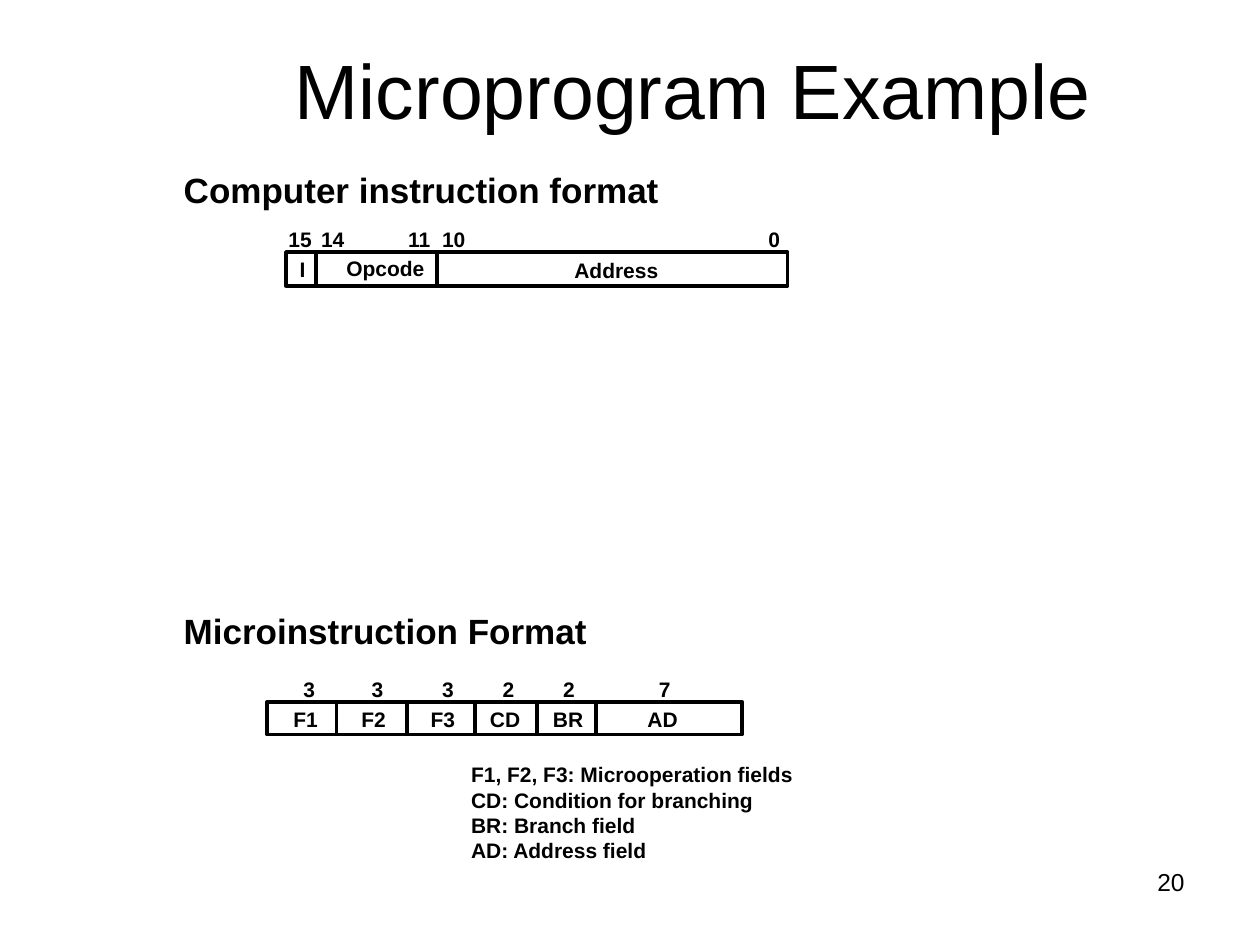
import pptx
import pptx.dml.color
import pptx.enum.shapes
import pptx.enum.text
import pptx.oxml.ns
import pptx.util
from pptx.util import Inches

BLACK = "000000"
ALIGN = pptx.enum.text.PP_ALIGN


def color(hex_code):
    """Turn a hex string into a colour."""
    return pptx.dml.color.RGBColor.from_string(hex_code)


def add_text(page, text, left, top, width, height, size, bold=False, align=ALIGN.LEFT):
    """Add a wrapping Arial text box and return it."""
    box = page.shapes.add_textbox(Inches(left), Inches(top), Inches(width), Inches(height))
    box.text_frame.word_wrap = True
    para = box.text_frame.paragraphs[0]
    para.text = text
    para.alignment = align
    para.font.name = "Arial"
    para.font.size = pptx.util.Pt(size)
    para.font.bold = bold
    para.font.color.rgb = color(BLACK)
    return box


def add_label(page, text, left, top, width, height=0.28, size=12, spacing=0.9):
    """Add a bold one-line label."""
    box = add_text(page, text, left, top, width, height, size, bold=True)
    box.text_frame.paragraphs[0].line_spacing = spacing
    return box


def add_frame(page, left, top, width, height):
    """Add the unfilled outline of an instruction word."""
    frame = page.shapes.add_shape(
        pptx.enum.shapes.MSO_SHAPE.RECTANGLE,
        Inches(left), Inches(top), Inches(width), Inches(height))
    frame.shadow.inherit = False
    frame.fill.background()
    frame.line.color.rgb = color(BLACK)
    frame.line.width = pptx.util.Pt(2)


def add_divider(page, x, top, height):
    """Add a vertical line between two fields."""
    line = page.shapes.add_connector(
        pptx.enum.shapes.MSO_CONNECTOR.STRAIGHT,
        Inches(x), Inches(top), Inches(x), Inches(top + height))
    line.line.color.rgb = color(BLACK)
    line.line.width = pptx.util.Pt(2)
    properties = line._element.spPr
    properties.append(properties.makeelement(pptx.oxml.ns.qn("a:effectLst"), {}))


def add_computer_format(page):
    """Draw the computer instruction word with its bit numbers."""
    add_label(page, "Computer instruction format", 1.36, 1.33, 4.02, 0.4, 20)
    add_frame(page, 2.27, 2, 3.98, 0.27)
    for x, top in ((2.51, 2.02), (3.47, 2)):
        add_divider(page, x, top, 0.26)
    for name, left, top, width in (
            ("I", 2.28, 2.01, 0.26), ("Opcode", 2.65, 2, 0.86), ("Address", 4.46, 2.02, 0.91)):
        add_label(page, name, left, top, width)
    for bit, left in (("15", 2.19), ("14", 2.45), ("11", 3.14), ("10", 3.41), ("0", 6)):
        add_label(page, bit, left, 1.77, 0.42 if len(bit) == 2 else 0.31)


def add_microinstruction_format(page):
    """Draw the microinstruction word with its field widths."""
    add_label(page, "Microinstruction Format", 1.36, 4.78, 3.45, 0.4, 20, 1.02)
    add_frame(page, 2.12, 5.57, 3.77, 0.26)
    for x in (2.67, 3.23, 3.77, 4.26, 4.73):
        add_divider(page, x, 5.57, 0.25)
    for name, left, bits, bits_left in (
            ("F1", 2.23, "3", 2.31), ("F2", 2.77, "3", 2.85), ("F3", 3.32, "3", 3.41),
            ("CD", 3.79, "2", 3.89), ("BR", 4.29, "2", 4.37), ("AD", 5.04, "7", 5.13)):
        add_label(page, name, left, 5.58, 0.47)
        add_label(page, bits, bits_left, 5.34, 0.31)


def add_legend(page):
    """List the meaning of each microinstruction field."""
    meanings = (("F1, F2, F3: Microoperation fields", 2.85),
                ("CD: Condition for branching", 2.54),
                ("BR: Branch field", 1.6),
                ("AD: Address field", 1.7))
    for row, (meaning, width) in enumerate(meanings):
        add_label(page, meaning, 3.64, 6.02 + 0.2 * row, width)


def main():
    """Build the slide and save it."""
    deck = pptx.Presentation()
    deck.slide_width, deck.slide_height = Inches(10), Inches(7.5)
    page = deck.slides.add_slide(deck.slide_layouts[6])
    add_text(page, "20", 7.17, 6.83, 2.33, 0.52, 14, align=ALIGN.RIGHT)
    title = add_text(page, "Microprogram Example", 1.25, 0.08, 8.5, 1.25, 44, align=ALIGN.CENTER)
    title.text_frame.vertical_anchor = pptx.enum.text.MSO_ANCHOR.MIDDLE
    add_computer_format(page)
    add_microinstruction_format(page)
    add_legend(page)
    deck.save("out.pptx")


if __name__ == "__main__":
    main()
